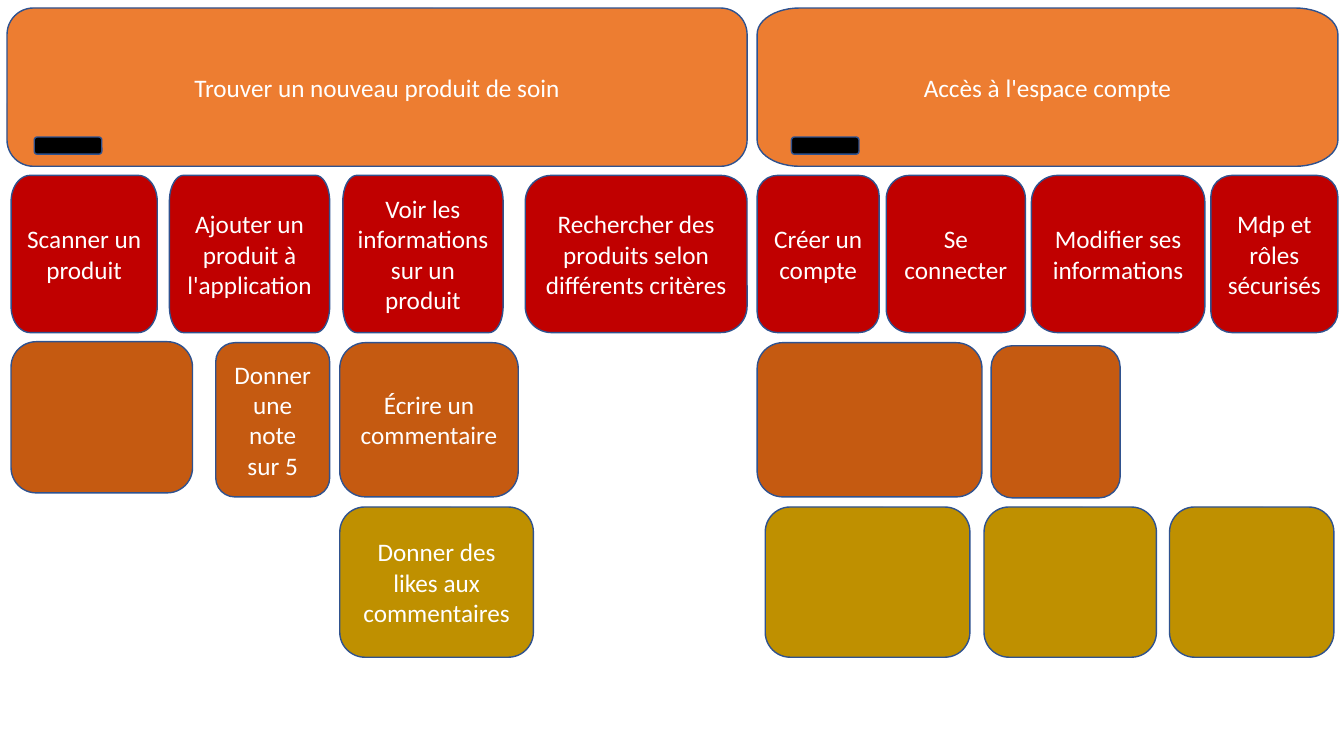
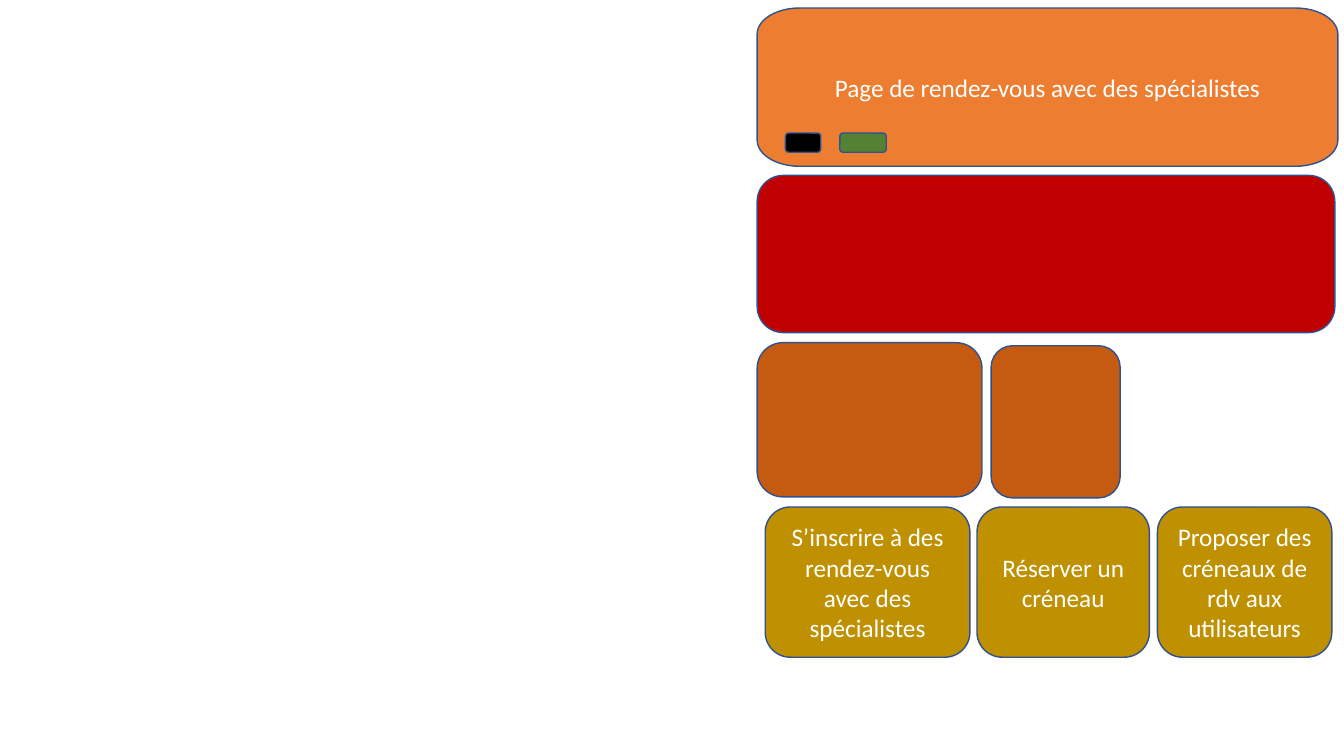
"""Build two story-map slides made of rows of rounded cards."""
import math

from pptx import Presentation
from pptx.dml.color import RGBColor
from pptx.enum import shapes, text
from pptx.util import Inches, Pt

ORANGE = RGBColor(0xED, 0x7D, 0x31)
RED = RGBColor(0xC0, 0x00, 0x00)
BROWN = RGBColor(0xC5, 0x5A, 0x11)
GOLD = RGBColor(0xBF, 0x90, 0x00)
GREEN = RGBColor(0x54, 0x82, 0x35)
BLACK = RGBColor(0x00, 0x00, 0x00)
WHITE = RGBColor(0xFF, 0xFF, 0xFF)
NAVY = RGBColor(0x2F, 0x52, 0x8F)

BAND_TOP, BAND_HEIGHT = 0.08, 1.57
STEP_TOP, STEP_HEIGHT = 1.74, 1.56
DETAIL_TOP, DETAIL_HEIGHT = 3.4, 1.53
EXTRA_TOP, EXTRA_HEIGHT = 5.03, 1.49
RIGHT_BAND = (7.51, BAND_TOP, 5.76, BAND_HEIGHT)
RIGHT_CURVE = (0.42, 0.26)


class StoryMap:
    """Hold the shared style and the current slide."""

    def __init__(self):
        """Start an empty widescreen deck."""
        self.deck = Presentation()
        self.deck.slide_width = Inches(13.33)
        self.deck.slide_height = Inches(7.5)
        self.page = None

    def add_page(self):
        """Add a title-only slide and make it current."""
        self.page = self.deck.slides.add_slide(self.deck.slide_layouts[5])

    def label(self, box, words):
        """Put centred white words in a box."""
        frame = box.text_frame
        frame.word_wrap = True
        frame.auto_size = text.MSO_AUTO_SIZE.NONE
        frame.vertical_anchor = text.MSO_ANCHOR.MIDDLE
        para = frame.paragraphs[0]
        para.alignment = text.PP_ALIGN.CENTER
        para.line_spacing = 1.0
        span = para.add_run()
        span.text = words
        span.font.name = "Calibri"
        span.font.size = Pt(18)
        span.font.color.rgb = WHITE

    def oval_cornered(self, area, curve):
        """Draw an outline whose corners are quarter ellipses."""
        left, top, width, height = area
        across, down = curve
        points = []
        for corner in range(4):
            x = left + (across if corner in (1, 2) else width - across)
            y = top + (height - down if corner < 2 else down)
            for step in range(13):
                angle = math.radians(corner * 90 + step * 7.5)
                points.append((Inches(x + across * math.cos(angle)),
                               Inches(y + down * math.sin(angle))))
        builder = self.page.shapes.build_freeform(*points[0])
        builder.add_line_segments(points[1:], close=True)
        return builder.convert_to_shape()

    def card(self, color, area, words="", curve=None):
        """Add a rounded card, with oval corners when a curve is given."""
        if curve:
            box = self.oval_cornered(area, curve)
        else:
            box = self.page.shapes.add_shape(
                shapes.MSO_SHAPE.ROUNDED_RECTANGLE, *map(Inches, area))
        box.shadow.inherit = False
        box.fill.solid()
        box.fill.fore_color.rgb = color
        box.line.color.rgb = NAVY
        box.line.width = Pt(1)
        if words:
            self.label(box, words)

    def row(self, color, top, height, cards):
        """Add cards (left, width, words, curve) sharing top and height."""
        for left, width, *rest in cards:
            self.card(color, (left, top, width, height), *rest)

    def title_band(self, area, words, curve=None):
        """Add an orange band carrying the slide title."""
        self.card(ORANGE, area, curve=curve)
        title = self.page.shapes.title
        title.left, title.top, title.width, title.height = map(Inches, area)
        self.label(title, words)
        self.page.shapes.element.append(title.element)

    def right_details(self):
        """Add the two brown cards of the right-hand column."""
        self.card(BROWN, (7.51, DETAIL_TOP, 2.23, DETAIL_HEIGHT))
        self.card(BROWN, (9.83, 3.43, 1.28, 1.51))


def main():
    """Build both slides and save the deck."""
    story = StoryMap()

    story.add_page()
    story.title_band((0.07, BAND_TOP, 7.34, BAND_HEIGHT),
                     "Trouver un nouveau produit de soin")
    story.card(ORANGE, RIGHT_BAND, "Accès à l'espace compte", RIGHT_CURVE)
    story.row(RED, STEP_TOP, STEP_HEIGHT, [
        (0.11, 1.45, "Scanner un produit", (0.19, 0.26)),
        (1.68, 1.59, "Ajouter un produit à l'application", (0.14, 0.26)),
        (3.4, 1.59, "Voir les informations sur un produit", (0.14, 0.26)),
        (5.21, 2.2, "Rechercher des produits selon différents critères"),
        (7.51, 1.21, "Créer un compte"),
        (8.79, 1.38, "Se connecter"),
        (10.23, 1.72, "Modifier ses informations"),
        (12.01, 1.26, "Mdp et rôles sécurisés"),
    ])
    story.card(BROWN, (0.11, 3.39, 1.8, 1.5))
    story.row(BROWN, DETAIL_TOP, DETAIL_HEIGHT, [
        (2.14, 1.13, "Donner une note sur 5"),
        (3.37, 1.77, "Écrire un commentaire"),
    ])
    story.right_details()
    story.row(GOLD, EXTRA_TOP, EXTRA_HEIGHT, [
        (3.37, 1.92, "Donner des likes aux commentaires"),
        (7.59, 2.03),
        (9.76, 1.71),
        (11.6, 1.63),
    ])
    story.row(BLACK, 1.36, 0.17, [(0.34, 0.67), (7.85, 0.67)])

    story.add_page()
    story.title_band(RIGHT_BAND, "Page de rendez-vous avec des spécialistes",
                     RIGHT_CURVE)
    story.card(RED, (7.51, STEP_TOP, 5.73, STEP_HEIGHT))
    story.right_details()
    story.row(GOLD, EXTRA_TOP, EXTRA_HEIGHT, [
        (7.59, 2.03, "S’inscrire à des rendez-vous avec des spécialistes"),
        (9.69, 1.71, "Réserver un créneau"),
        (11.48, 1.73, "Proposer des créneaux de rdv aux utilisateurs"),
    ])
    story.card(BLACK, (7.79, 1.32, 0.35, 0.19))
    story.card(GREEN, (8.33, 1.32, 0.46, 0.19))

    story.deck.save("out.pptx")


if __name__ == "__main__":
    main()
